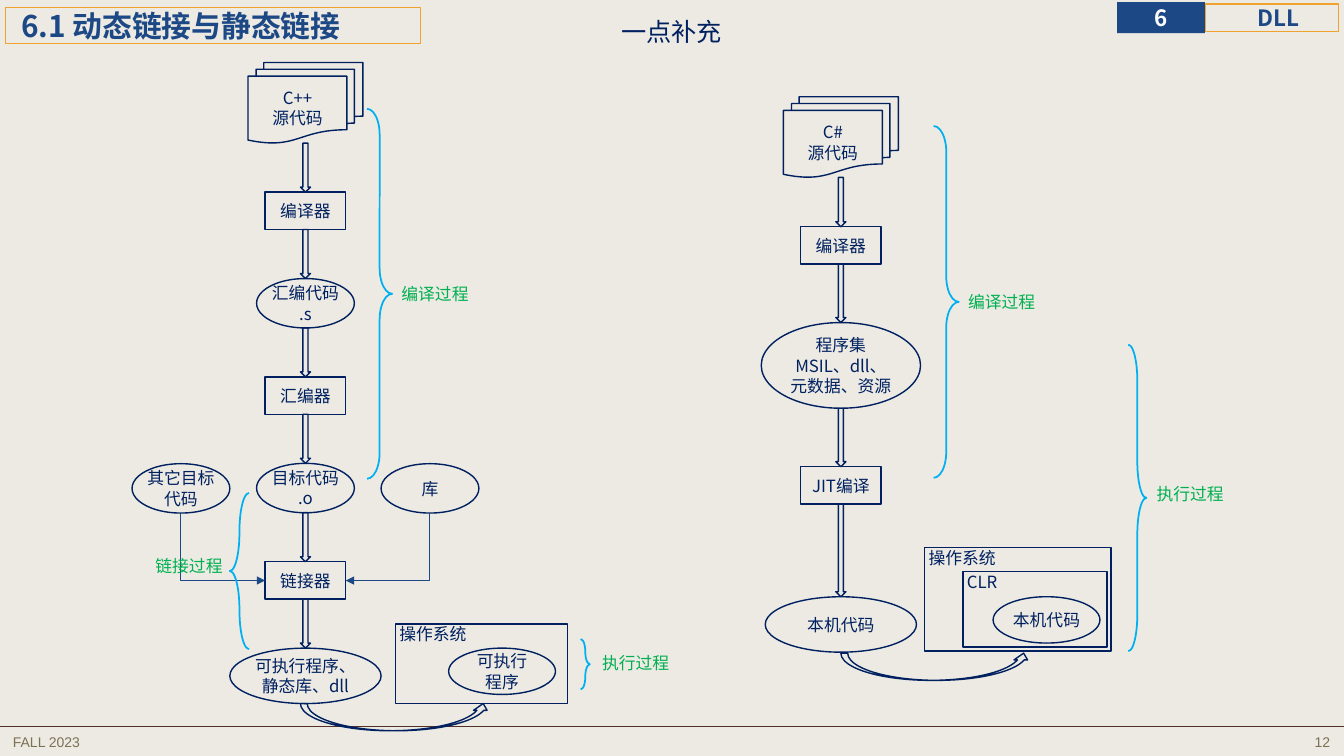
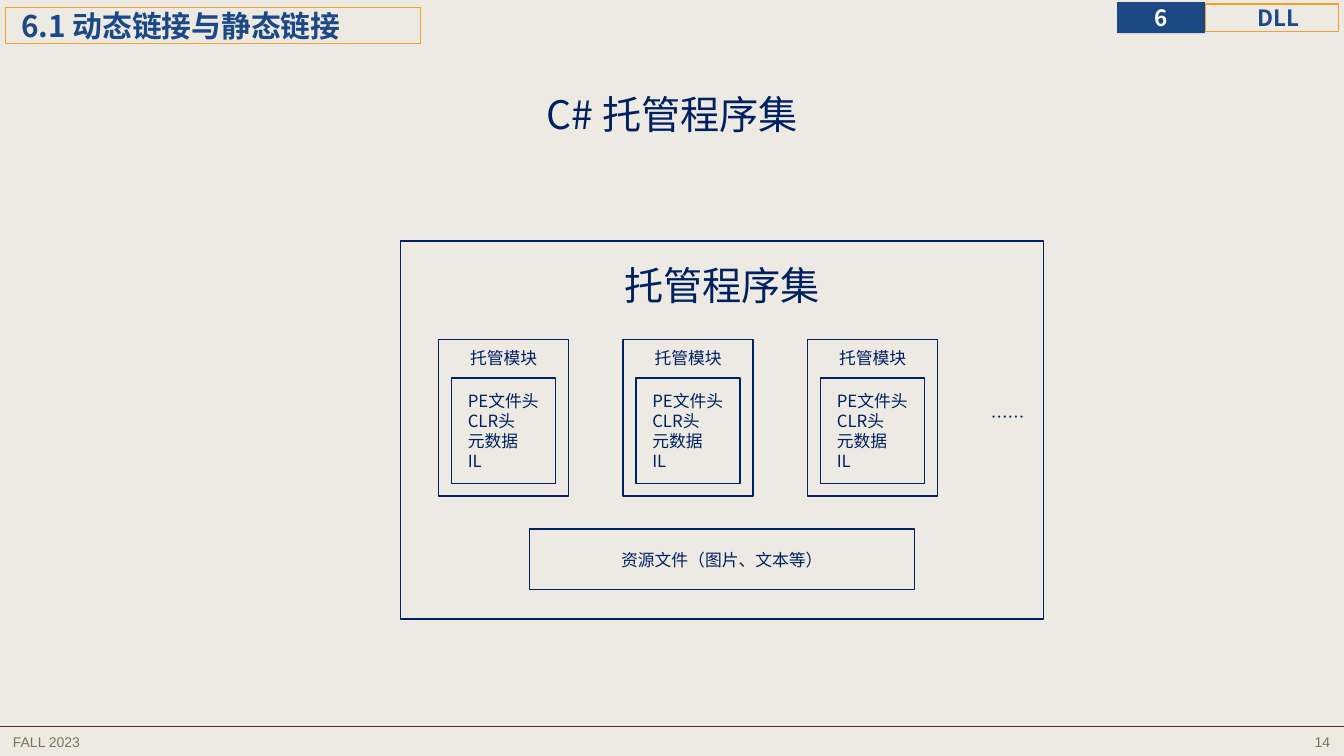
import pptx
import pptx.dml.color
import pptx.enum.shapes
import pptx.enum.text
import pptx.oxml
import pptx.oxml.ns
import pptx.util
from lxml import etree

Inches = pptx.util.Inches
SHAPE = pptx.enum.shapes.MSO_SHAPE
CONNECTOR = pptx.enum.shapes.MSO_CONNECTOR
ALIGN = pptx.enum.text.PP_ALIGN
ANCHOR = pptx.enum.text.MSO_ANCHOR

COLORS = {
    "background": "ECEAE3",
    "navy": "002060",
    "blue": "1C4885",
    "orange": "F0A22E",
    "brace": "00B0F0",
    "label": "00B050",
    "footer": "7C7154",
    "rule": "523227",
    "white": "FFFFFF",
}
BODY_FONT = "Noto Sans CJK SC"
FOOTER_FONT = "Arial"
NODE_SIZE = 12
NO_INSETS = (0, 0, 0, 0)
TEXT_INSETS = (0.1, 0.05, 0.1, 0.05)


def rgb(name):
    return pptx.dml.color.RGBColor.from_string(COLORS[name])


def qualified(tag):
    return pptx.oxml.ns.qn(tag)


def write_text(shape, lines, size=NODE_SIZE, color="navy", align=ALIGN.CENTER,
               anchor=ANCHOR.MIDDLE, insets=NO_INSETS, bold=False, font=BODY_FONT):
    """Fill a shape with one paragraph per line."""
    frame = shape.text_frame
    frame.word_wrap = True
    frame.auto_size = pptx.enum.text.MSO_AUTO_SIZE.NONE
    frame.vertical_anchor = anchor
    (frame.margin_left, frame.margin_top,
     frame.margin_right, frame.margin_bottom) = map(Inches, insets)
    frame.text = "\n".join(lines)
    for paragraph in frame.paragraphs:
        paragraph.alignment = align
        paragraph.font.size = pptx.util.Pt(size)
        paragraph.font.bold = bold
        paragraph.font.color.rgb = rgb(color)
        paragraph.font.name = font
        # East Asian characters take their own typeface entry
        properties = paragraph._p.pPr.find(qualified("a:defRPr"))
        etree.SubElement(properties, qualified("a:ea"), typeface=font)


def add_outline(slide, kind, left, top, width, height, line="navy", weight=1, fill=None):
    shape = slide.shapes.add_shape(kind, *map(Inches, (left, top, width, height)))
    shape.shadow.inherit = False
    if fill:
        shape.fill.solid()
        shape.fill.fore_color.rgb = rgb(fill)
    else:
        shape.fill.background()
    if line:
        shape.line.color.rgb = rgb(line)
        shape.line.width = pptx.util.Pt(weight)
    else:
        shape.line.fill.background()
    return shape


def add_node(slide, kind, left, top, width, height, lines, **text_style):
    write_text(add_outline(slide, kind, left, top, width, height), lines, **text_style)


def add_label(slide, left, top, width, height, text, **text_style):
    box = slide.shapes.add_textbox(*map(Inches, (left, top, width, height)))
    write_text(box, [text], anchor=ANCHOR.TOP, insets=TEXT_INSETS, **text_style)


def add_line(slide, kind, begin, end, color, weight):
    connector = slide.shapes.add_connector(kind, *map(Inches, begin + end))
    connector.line.color.rgb = rgb(color)
    connector.line.width = pptx.util.Pt(weight)
    etree.SubElement(connector._element.spPr, qualified("a:effectLst"))
    return connector


def add_bent_arrow(slide, target, source):
    """Draw one corner between source and target, with the head at the target."""
    connector = add_line(slide, CONNECTOR.ELBOW, target, source, "blue", 1.25)
    connector._element.spPr.find(qualified("a:prstGeom")).set("prst", "bentConnector2")
    outline = connector._element.spPr.find(qualified("a:ln"))
    etree.SubElement(outline, qualified("a:headEnd"), type="triangle")


def add_brace(slide, kind, left, top, width, height, curl=2.0):
    brace = add_outline(slide, kind, left, top, width, height, "brace", 1.25)
    brace.adjustments[0] = curl
    brace.adjustments[1] = 0.5


def add_phase(slide, left, top, text):
    add_label(slide, left, top, 1.27, 0.3, text, color="label")


def add_container(slide, left, top, width, height, text):
    add_node(slide, SHAPE.RECTANGLE, left, top, width, height, [text],
             align=ALIGN.LEFT, anchor=ANCHOR.TOP, insets=(0.04, 0, 0, 0))


def add_flow_column(slide, center, top, steps, gaps):
    """Stack steps under one another, with a down arrow in each gap."""
    for index, (kind, width, height, lines) in enumerate(steps):
        add_node(slide, kind, center - width / 2, top, width, height, lines)
        top += height
        if index < len(gaps):
            add_outline(slide, SHAPE.DOWN_ARROW, center - 0.05, top, 0.1, gaps[index])
            top += gaps[index]


def add_frame(slide, page):
    """Section heading, chapter mark and footer."""
    heading = add_outline(slide, SHAPE.RECTANGLE, 0.05, 0.07, 4.12, 0.36, "orange", 0.75)
    write_text(heading, ["6.1 动态链接与静态链接"], 21.3, "blue", ALIGN.LEFT,
               insets=(0.16, 0, 0, 0), bold=True)
    chapter = add_outline(slide, SHAPE.RECTANGLE, 11.96, 0.04, 1.32, 0.27, "orange", 0.75)
    write_text(chapter, ["DLL"], 16, "blue", insets=(0.12, 0, 0, 0), bold=True)
    number = add_outline(slide, SHAPE.RECTANGLE, 11.08, 0.02, 0.87, 0.31, None, fill="blue")
    write_text(number, ["6"], 16, "white", bold=True)

    add_line(slide, CONNECTOR.STRAIGHT, (0, 7.21), (13.33, 7.21), "rule", 0.5)
    for left, text, align in ((0.03, "FALL 2023", ALIGN.LEFT), (10.51, page, ALIGN.RIGHT)):
        add_label(slide, left, 7.23, 2.78, 0.31, text, size=10, color="footer",
                  align=align, font=FOOTER_FONT)


def add_titled_slide(presentation, page, title, box, size):
    slide = presentation.slides.add_slide(presentation.slide_layouts[5])
    shape = slide.shapes.title
    shape.left, shape.top, shape.width, shape.height = map(Inches, box)
    write_text(shape, [title], size)
    add_frame(slide, page)
    return slide


def add_cpp_flow(slide, left, top):
    # Main column
    steps = [
        (SHAPE.FLOWCHART_MULTIDOCUMENT, 1.14, 0.8, ["C++", "源代码"]),
        (SHAPE.RECTANGLE, 0.8, 0.37, ["编译器"]),
        (SHAPE.OVAL, 0.97, 0.49, ["汇编代码", ".s"]),
        (SHAPE.RECTANGLE, 0.8, 0.37, ["汇编器"]),
        (SHAPE.OVAL, 0.97, 0.49, ["目标代码", ".o"]),
        (SHAPE.RECTANGLE, 0.8, 0.37, ["链接器"]),
        (SHAPE.OVAL, 1.5, 0.55, ["可执行程序、静态库、dll"]),
    ]
    gap_count = len(steps) - 1
    gap = (6.36 - sum(step[2] for step in steps)) / gap_count
    add_flow_column(slide, left + 1.79, top, steps, [gap] * gap_count)

    # Other inputs of the linker
    for offset, linker_side, text in ((0.07, 1.39, "其它目标代码"), (2.54, 2.19, "库")):
        add_node(slide, SHAPE.OVAL, left + offset, top + 3.98, 0.97, 0.49, [text])
        add_bent_arrow(slide, (left + linker_side, top + 5.14),
                       (left + offset + 0.48, top + 4.47))

    # Running the program
    add_outline(slide, SHAPE.CURVED_UP_ARROW, left + 1.74, top + 6.36, 1.88, 0.27)
    add_container(slide, left + 2.68, top + 5.57, 1.71, 0.79, "操作系统")
    add_node(slide, SHAPE.OVAL, left + 3.21, top + 5.81, 1.06, 0.46, ["可执行", "程序"])

    # Phases
    add_brace(slide, SHAPE.RIGHT_BRACE, left + 2.4, top + 0.46, 0.25, 3.67, 1.02)
    add_phase(slide, left + 2.44, top + 2.15, "编译过程")
    add_brace(slide, SHAPE.LEFT_BRACE, left + 1.04, top + 4.27, 0.19, 1.55)
    add_phase(slide, left, top + 4.84, "链接过程")
    add_brace(slide, SHAPE.RIGHT_BRACE, left + 4.52, top + 5.72, 0.09, 0.5)
    add_phase(slide, left + 4.43, top + 5.81, "执行过程")


def add_csharp_flow(slide, left, top):
    # Main column
    steps = [
        (SHAPE.FLOWCHART_MULTIDOCUMENT, 1.14, 0.8, ["C#", "源代码"]),
        (SHAPE.RECTANGLE, 0.8, 0.37, ["编译器"]),
        (SHAPE.OVAL, 1.58, 0.85, ["程序集", "MSIL、dll、", "元数据、资源"]),
        (SHAPE.RECTANGLE, 0.8, 0.37, ["JIT编译"]),
        (SHAPE.OVAL, 1.5, 0.55, ["本机代码"]),
    ]
    add_flow_column(slide, left + 0.79, top, steps, [0.49, 0.58, 0.58, 0.92])

    # Running the program
    add_outline(slide, SHAPE.CURVED_UP_ARROW, left + 0.79, top + 5.52, 1.88, 0.27)
    add_container(slide, left + 1.62, top + 4.47, 1.85, 1.03, "操作系统")
    add_container(slide, left + 2, top + 4.71, 1.43, 0.75, "CLR")
    add_node(slide, SHAPE.OVAL, left + 2.3, top + 4.96, 1.06, 0.46, ["本机代码"])

    # Phases
    add_brace(slide, SHAPE.RIGHT_BRACE, left + 1.71, top + 0.29, 0.25, 3.49, 1.02)
    add_phase(slide, left + 1.75, top + 1.89, "编译过程")
    add_brace(slide, SHAPE.RIGHT_BRACE, left + 3.64, top + 2.46, 0.18, 3.04)
    add_phase(slide, left + 3.62, top + 3.79, "执行过程")


def add_module(slide, left, top):
    add_node(slide, SHAPE.RECTANGLE, left, top, 1.29, 1.55, ["托管模块"],
             anchor=ANCHOR.TOP, insets=(0, 0.08, 0, 0))
    add_node(slide, SHAPE.RECTANGLE, left + 0.13, top + 0.38, 1.03, 1.05,
             ["PE文件头", "CLR头", "元数据", "IL"],
             align=ALIGN.LEFT, insets=(0.16, 0, 0, 0))


def add_assembly(slide, left, top):
    add_node(slide, SHAPE.RECTANGLE, left, top, 6.38, 3.75, ["托管程序集"],
             size=28, anchor=ANCHOR.TOP, insets=(0, 0.2, 0, 0))
    for index in range(3):
        add_module(slide, left + 0.38 + index * 1.83, top + 0.98)
    add_label(slide, left + 5.34, top + 1.6, 1.37, 0.3, "……")
    add_node(slide, SHAPE.RECTANGLE, left + 1.28, top + 2.86, 3.82, 0.6,
             ["资源文件（图片、文本等）"])


def main():
    presentation = pptx.Presentation()
    presentation.slide_width = Inches(13.33)
    presentation.slide_height = Inches(7.5)
    background = presentation.slide_master.background.fill
    background.solid()
    background.fore_color.rgb = rgb("background")

    # Compilation of C++ and C#
    slide = add_titled_slide(presentation, "12", "一点补充", (5.74, 0.11, 1.84, 0.4), 18)
    add_cpp_flow(slide, 1.24, 0.62)
    add_csharp_flow(slide, 7.55, 0.96)

    # Parts of a managed assembly
    slide = add_titled_slide(presentation, "14", "C# 托管程序集", (0.92, 0.4, 11.5, 1.45), 28)
    add_assembly(slide, 3.97, 2.39)

    presentation.save("out.pptx")


if __name__ == "__main__":
    main()
